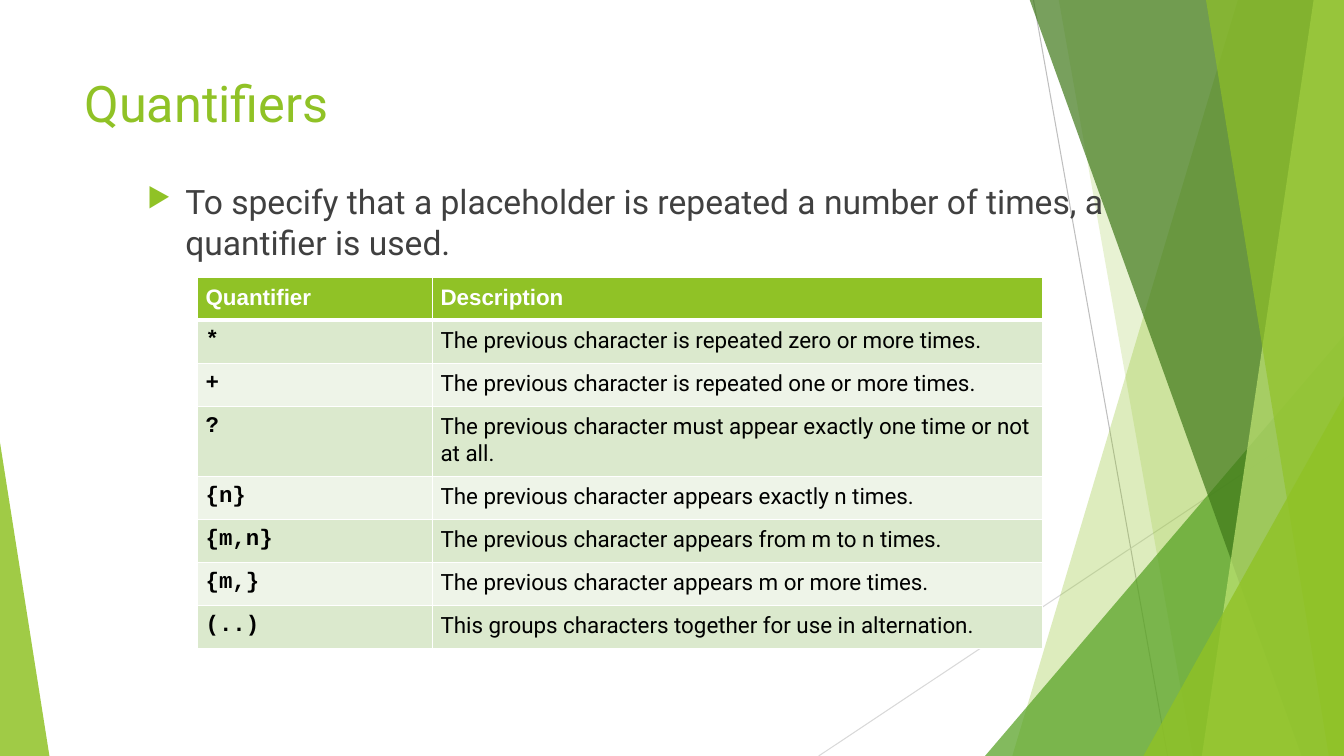
from lxml import etree
from pptx import Presentation
from pptx.dml.color import RGBColor
from pptx.enum import shapes, text
from pptx.oxml import ns
from pptx.util import Inches, Pt

# Content
TITLE = "Quantifiers"
INTRO = ("To specify that a placeholder is repeated a number of times, "
         "a quantifier is used.")
HEADINGS = ("Quantifier", "Description")
QUANTIFIERS = [
    ("*", "The previous character is repeated zero or more times."),
    ("+", "The previous character is repeated one or more times."),
    ("?", "The previous character must appear exactly one time or not at all."),
    ("{n}", "The previous character appears exactly n times."),
    ("{m,n}", "The previous character appears from m to n times."),
    ("{m,}", "The previous character appears m or more times."),
    ("(..)", "This groups characters together for use in alternation."),
]

THEME = {
    "green": "90C226", "leaf": "54A021", "forest": "3F7819", "lime": "C0E474",
    "ink": "404040", "black": "000000", "white": "FFFFFF",
    "bands": ("DBE9CD", "EEF4E8"),
    "body_font": "Roboto", "head_font": "Arial", "code_font": "Courier New",
    "title_size": 36, "intro_size": 24, "table_size": 16,
}

# Decoration, from back to front
WIDTH, HEIGHT, TOP = 13.33, 7.5, -0.01
RAYS = [  # start, end, colour
    ((10.25, 0), (11.58, HEIGHT), "BFBFBF"),
    ((WIDTH, 4.03), (8.12, HEIGHT), "D9D9D9"),
]
FACETS = [  # "band": top x, bottom x; "peak": box, apex position; colour, opacity
    ("band", (12.28, 10.04), "green", 30),
    ("band", (10.5, 11.83), "green", 20),
    ("peak", ((9.77, 3.33, 3.56, 4.17), 1), "leaf", 72),
    ("band", (10.21, 12.91), "forest", 70),
    ("band", (13.03, 11.92), "lime", 70),
    ("band", (11.96, 13.18), "green", 65),
    ("peak", ((11.34, 3.93, 1.99, 3.57), 1), "green", 80),
    ("peak", ((0, 4.39, 0.49, 3.11), 0), "green", 85),
]

# Table measures
TABLE_LEFT, TABLE_TOP = 1.96, 2.75
COLUMN_WIDTHS = (2.33, 6.05)
ROW_HEIGHT, CELL_MARGIN = 0.41, 0.08


def rgb(value):
    return RGBColor.from_string(value)


def add_xml(parent, tag, **attributes):
    return etree.SubElement(parent, ns.qn(tag), attributes)


def format_runs(paragraph, size, font, color, bold=False):
    for run in paragraph.runs:
        run.font.size = Pt(size)
        run.font.name = font
        run.font.bold = bold
        run.font.color.rgb = rgb(color)


def add_text(slide, box, words, size, color):
    frame = slide.shapes.add_textbox(*map(Inches, box)).text_frame
    frame.word_wrap = True
    frame.vertical_anchor = text.MSO_ANCHOR.TOP
    frame.text = words
    paragraph = frame.paragraphs[0]
    format_runs(paragraph, size, THEME["body_font"], color)
    return paragraph


def add_ray(slide, start, end, color):
    ray = slide.shapes.add_connector(
        shapes.MSO_CONNECTOR.STRAIGHT, *map(Inches, start + end))
    ray.line.color.rgb = rgb(color)
    ray.line.width = Pt(0.75)
    add_xml(ray._element.spPr, "a:effectLst")


def add_facet(slide, kind, geometry, color, opacity):
    if kind == "band":
        top_x, bottom_x = geometry
        outline = slide.shapes.build_freeform(
            Inches(top_x), Inches(TOP))
        corners = [(WIDTH, TOP), (WIDTH, HEIGHT), (bottom_x, HEIGHT)]
        outline.add_line_segments(
            [(Inches(x), Inches(y)) for x, y in corners], close=True)
        facet = outline.convert_to_shape()
    else:
        box, apex = geometry
        facet = slide.shapes.add_shape(
            shapes.MSO_SHAPE.ISOSCELES_TRIANGLE, *map(Inches, box))
        facet.adjustments[0] = apex
    facet.shadow.inherit = False
    facet.line.fill.background()
    facet.fill.solid()
    facet.fill.fore_color.rgb = rgb(THEME[color])
    tint = facet._element.spPr.find(".//" + ns.qn("a:srgbClr"))
    add_xml(tint, "a:alpha", val=str(opacity * 1000))


def add_bullet(paragraph):
    paragraph.space_before = Pt(10)
    properties = paragraph._p.get_or_add_pPr()
    indent = Inches(0.38)
    properties.set("marL", str(indent))
    properties.set("indent", str(-indent))
    color = add_xml(properties, "a:buClr")
    add_xml(color, "a:srgbClr", val=THEME["green"])
    add_xml(properties, "a:buSzPct", val="80000")
    add_xml(properties, "a:buChar", char="▶")


def style_cell(cell, fill, borders):
    cell.margin_left = cell.margin_right = Inches(CELL_MARGIN)
    cell.margin_top = cell.margin_bottom = Inches(CELL_MARGIN)
    properties = cell._tc.get_or_add_tcPr()
    for side, width in borders.items():
        border = add_xml(properties, "a:ln" + side, w=str(Pt(width)))
        color = add_xml(border, "a:solidFill")
        add_xml(color, "a:srgbClr", val=THEME["white"])
    cell.fill.solid()
    cell.fill.fore_color.rgb = rgb(fill)


def add_quantifier_table(slide):
    rows = [HEADINGS] + QUANTIFIERS
    table = slide.shapes.add_table(
        len(rows), len(HEADINGS), Inches(TABLE_LEFT), Inches(TABLE_TOP),
        Inches(sum(COLUMN_WIDTHS)), Inches(ROW_HEIGHT * len(rows))).table
    for column, width in zip(table.columns, COLUMN_WIDTHS):
        column.width = Inches(width)
    for r, row in enumerate(rows):
        table.rows[r].height = Inches(ROW_HEIGHT)
        borders = {"L": 1, "R": 1, "T": 3 if r == 1 else 1, "B": 3 if r == 0 else 1}
        for c, words in enumerate(row):
            if r == 0:
                fill, color, font = THEME["green"], THEME["white"], THEME["head_font"]
            else:
                fill, color = THEME["bands"][(r - 1) % 2], THEME["black"]
                font = THEME["body_font" if c else "code_font"]
            cell = table.cell(r, c)
            style_cell(cell, fill, borders)
            cell.text_frame.text = words
            format_runs(cell.text_frame.paragraphs[0], THEME["table_size"],
                        font, color, bold=r == 0 or c == 0)


def main():
    deck = Presentation()
    deck.slide_width, deck.slide_height = Inches(WIDTH), Inches(HEIGHT)
    slide = deck.slides.add_slide(deck.slide_layouts[6])
    for ray in RAYS:
        add_ray(slide, *ray)
    for facet in FACETS:
        add_facet(slide, *facet)
    add_text(slide, (0.74, 0.67, 9.4, 1.44), TITLE,
             THEME["title_size"], THEME["green"])
    intro = add_text(slide, (1.36, 1.75, 9.81, 1), INTRO,
                     THEME["intro_size"], THEME["ink"])
    add_bullet(intro)
    add_quantifier_table(slide)
    deck.save("out.pptx")


if __name__ == "__main__":
    main()
